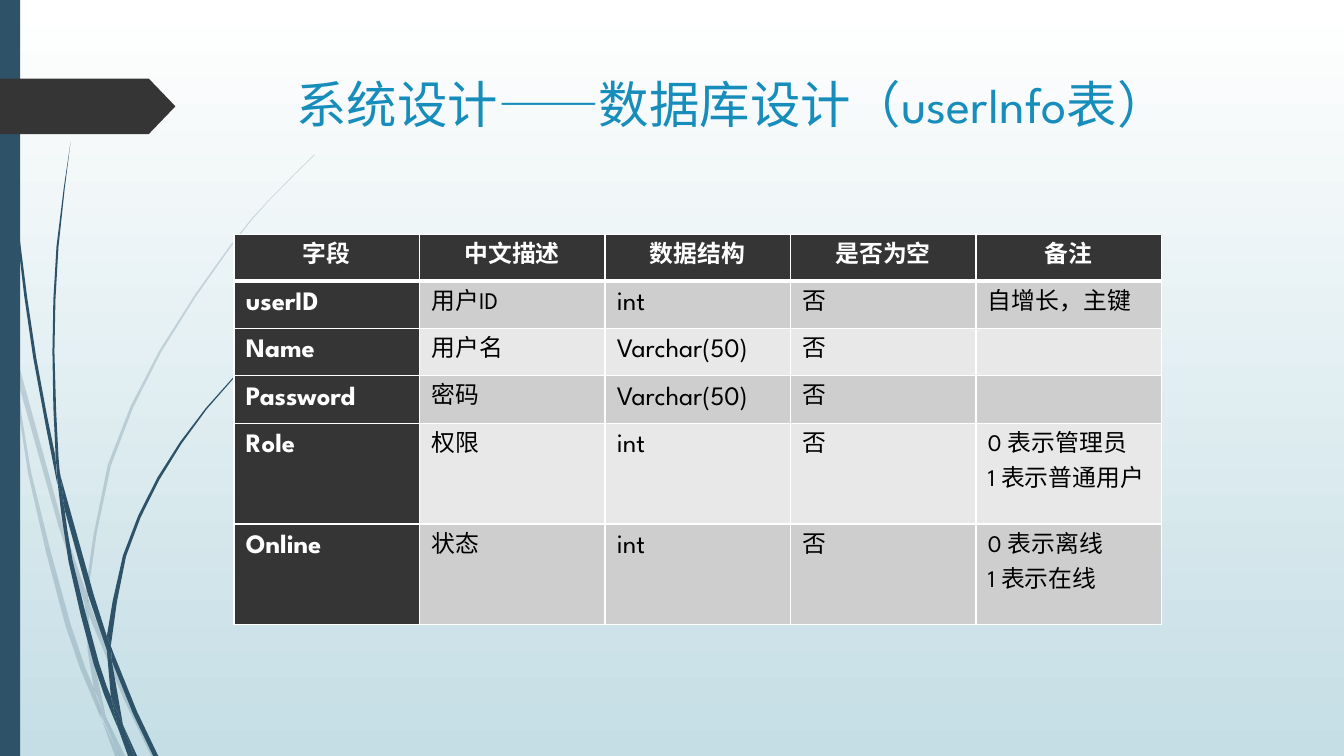
from pptx import Presentation
from pptx import util as u
from pptx.dml.color import RGBColor
from pptx.enum import shapes, text
from pptx.oxml.ns import qn
from lxml import etree

FONT = "League Spartan"
NAVY, DARK, TITLE_BLUE, WHITE, BLACK = "2E5369", "353535", "178DBB", "FFFFFF", "000000"
BANDS = ("CECECE", "E8E8E8")

PALE_STRANDS = [
    ([(0.11, 3.5), (0.09, 3.22), (0, 2.82)], [(0, 2.99), (0.1, 3.44)]),
    ([(0.14, 3.45), (0.17, 3.76), (0.58, 5.22), (0.84, 5.99)],
     [(0.85, 5.86), (0.62, 5.2), (0.14, 3.45)]),
    ([(0.88, 5.96), (0.88, 6.1), (1.23, 6.94), (1.5, 7.5)],
     [(1.55, 7.5), (1.27, 6.92), (0.92, 6.07)]),
    ([(1.05, 7.11), (1.19, 7.5)], [(1.24, 7.5)]),
    ([(0.11, 3.5), (0.28, 4.7), (0.65, 6.21), (0.92, 6.93), (1.01, 7.14)],
     [(0.93, 6.83), (0.7, 6.19), (0.31, 4.69), (0.17, 3.76), (0.11, 3.5)]),
    ([(0.84, 5.99), (0.87, 6.46), (0.93, 6.83), (1.05, 7.11)],
     [(0.91, 6.46), (0.88, 6.1)]),
    ([(0.85, 5.86), (1.07, 4.61), (1.58, 3.48), (2.28, 2.44), (2.68, 1.97), (3.12, 1.53)],
     [(3.12, 1.54), (2.68, 1.98), (2.29, 2.45), (1.6, 3.49), (1.1, 4.62), (0.88, 5.84),
      (0.88, 5.96)]),
    ([(1.01, 7.14), (1.14, 7.5)], [(1.19, 7.5)]),
    ([(0.85, 5.86), (0.84, 5.99), (0.88, 6.1)], [(0.88, 5.96)]),
    ([(0.93, 6.83), (0.99, 7.07), (1.19, 7.5)], [(1.05, 7.11), (0.96, 6.92)]),
]
DARK_STRANDS = [
    ([(0.03, 0), (0.07, 1.1), (0.17, 2.33), (0.33, 3.55), (0.57, 4.81)],
     [(0.55, 4.53), (0.36, 3.55), (0.19, 2.32), (0.08, 1.09), (0.04, 0)]),
    ([(0.6, 4.72), (0.64, 5.05), (0.88, 5.92), (1.06, 6.45)],
     [(1.06, 6.31), (0.93, 5.9), (0.6, 4.72)]),
    ([(1.1, 6.41), (1.11, 6.56), (1.32, 7.08), (1.52, 7.5)],
     [(1.57, 7.5), (1.36, 7.06), (1.13, 6.49)]),
    ([(0.57, 4.77), (0.68, 5.57), (0.93, 6.59), (1.11, 7.08), (1.17, 7.22)],
     [(1.1, 6.91), (0.98, 6.57), (0.72, 5.56), (0.64, 5.05), (0.57, 4.77)]),
    ([(0.6, 4.72), (0.55, 4.49), (0.52, 3.49), (0.56, 2.45), (0.7, 1.41)],
     [(0.7, 1.41), (0.58, 2.45), (0.54, 3.49), (0.58, 4.53), (0.6, 4.72)]),
    ([(1.22, 7.19), (1.33, 7.5)], [(1.36, 7.5)]),
    ([(0.55, 4.49), (0.57, 4.77), (0.64, 5.05)], [(0.6, 4.72)]),
    ([(1.06, 6.31), (1.22, 5.51), (1.56, 4.74), (2.04, 4.05), (2.6, 3.44)],
     [(2.61, 3.44), (2.05, 4.06), (1.58, 4.76), (1.25, 5.52), (1.11, 6.33), (1.1, 6.41)]),
    ([(1.17, 7.22), (1.27, 7.5)], [(1.31, 7.5)]),
    ([(1.06, 6.45), (1.1, 6.91), (1.22, 7.19)], [(1.11, 6.56)]),
    ([(1.06, 6.31), (1.06, 6.45), (1.11, 6.56)], [(1.1, 6.41)]),
    ([(1.1, 6.91), (1.17, 7.22), (1.3, 7.5)], [(1.33, 7.5), (1.22, 7.19)]),
]
HEADINGS = ["字段", "中文描述", "数据结构", "是否为空", "备注"]
FIELDS = [
    ["userID", "用户ID", "int", "否", "自增长，主键"],
    ["Name", "用户名", "Varchar(50)", "否", ""],
    ["Password", "密码", "Varchar(50)", "否", ""],
    ["Role", "权限", "int", "否", "0 表示管理员\n1 表示普通用户"],
    ["Online", "状态", "int", "否", "0 表示离线\n1 表示在线"],
]
ROW_HEIGHTS = [0.46, 0.47, 0.47, 0.47, 1, 1]


def color(value):
    return RGBColor.from_string(value)


def paint(shape, fill, opacity=100):
    shape.shadow.inherit = False
    shape.fill.solid()
    shape.fill.fore_color.rgb = color(fill)
    shape.line.fill.background()
    if opacity < 100:
        swatch = shape.fill._xPr.find(qn("a:solidFill"))[0]
        etree.SubElement(swatch, qn("a:alpha"), val=str(opacity * 1000))


def format_text(para, size, ink, bold=False):
    for span in para.runs:
        span.font.name = FONT
        span.font.size = u.Pt(size)
        span.font.bold = bold
        span.font.color.rgb = color(ink)


def smooth_edge(anchors):
    if len(anchors) < 5:
        return anchors
    padded = [anchors[0], *anchors, anchors[-1]]
    points = []
    for before, start, end, after in zip(padded, padded[1:], padded[2:], padded[3:]):
        middle = tuple((9 * (b + c) - a - d) / 16
                       for a, b, c, d in zip(before, start, end, after))
        points += [start, middle]
    return points + [anchors[-1]]


def add_strands(page, left, top, strands, opacity):
    group = page.shapes.add_group_shape()
    for outward, homeward in strands:
        outline = [(u.Inches(left + x), u.Inches(top + y))
                   for x, y in smooth_edge(outward) + smooth_edge(homeward)]
        builder = group.shapes.build_freeform(*outline[0])
        builder.add_line_segments(outline[1:])
        paint(builder.convert_to_shape(), NAVY, opacity)


def add_side_decoration(page, left, top, height):
    add_strands(page, left, top, PALE_STRANDS, 20)
    add_strands(page, left, top, DARK_STRANDS, 100)
    bar = page.shapes.add_shape(shapes.MSO_SHAPE.RECTANGLE, u.Inches(left), u.Inches(top),
                                u.Inches(0.2), u.Inches(height))
    paint(bar, NAVY)
    arrow = page.shapes.add_shape(shapes.MSO_SHAPE.PENTAGON, u.Inches(left),
                                  u.Inches(top + 0.78), u.Inches(1.74), u.Inches(0.55))
    arrow.adjustments[0] = 0.48
    paint(arrow, DARK)


def set_title(page, left, top, width, height):
    title = page.shapes.title
    title.left, title.top = u.Inches(left), u.Inches(top)
    title.width, title.height = u.Inches(width), u.Inches(height)
    frame = title.text_frame
    frame.text = "系统设计——数据库设计（userInfo表）"
    frame.vertical_anchor = text.MSO_ANCHOR.TOP
    frame.paragraphs[0].alignment = text.PP_ALIGN.LEFT
    format_text(frame.paragraphs[0], 36, TITLE_BLUE)


def add_borders(cell, top, bottom):
    properties = cell._tc.get_or_add_tcPr()
    for side, points in (("L", 1), ("R", 1), ("T", top), ("B", bottom)):
        line = etree.SubElement(properties, qn(f"a:ln{side}"), w=str(u.Pt(points)))
        fill = etree.SubElement(line, qn("a:solidFill"))
        etree.SubElement(fill, qn("a:srgbClr"), val=WHITE)


def fill_cell(cell, content, row, column):
    heading = row == 0
    strong = heading or column == 0
    add_borders(cell, 3 if row == 1 else 1, 3 if heading else 1)
    cell.fill.solid()
    cell.fill.fore_color.rgb = color(DARK if strong else BANDS[(row - 1) % 2])
    cell.margin_left = cell.margin_right = u.Inches(0.12)
    cell.margin_top = cell.margin_bottom = 0
    cell.text_frame.text = content
    size = 19 if not heading and column in (0, 2) else 17
    for para in cell.text_frame.paragraphs:
        para.alignment = text.PP_ALIGN.CENTER if heading else text.PP_ALIGN.JUSTIFY
        para.line_spacing = u.Pt(25)
        format_text(para, size, WHITE if strong else BLACK, strong)


def add_field_table(page, left, top, width):
    rows = [HEADINGS, *FIELDS]
    table = page.shapes.add_table(len(rows), len(HEADINGS), u.Inches(left), u.Inches(top),
                                  u.Inches(width), u.Inches(sum(ROW_HEIGHTS))).table
    for column in table.columns:
        column.width = u.Inches(width / len(HEADINGS))
    for row, contents in enumerate(rows):
        table.rows[row].height = u.Inches(ROW_HEIGHTS[row])
        for column, content in enumerate(contents):
            fill_cell(table.cell(row, column), content, row, column)


def set_background(page):
    fill = page.background.fill
    fill.gradient()
    fill.gradient_angle = 270
    for stop, shade in zip(fill.gradient_stops, (WHITE, "C5DEE5")):
        stop.color.rgb = color(shade)


def main():
    deck = Presentation()
    deck.slide_width, deck.slide_height = u.Inches(13.33), u.Inches(7.5)
    page = deck.slides.add_slide(deck.slide_layouts[5])
    set_background(page)
    add_side_decoration(page, 0, 0, 7.5)
    set_title(page, 2.84, 0.68, 9.75, 1.4)
    add_field_table(page, 2.32, 2.33, 9.2)
    deck.save("out.pptx")


if __name__ == "__main__":
    main()
